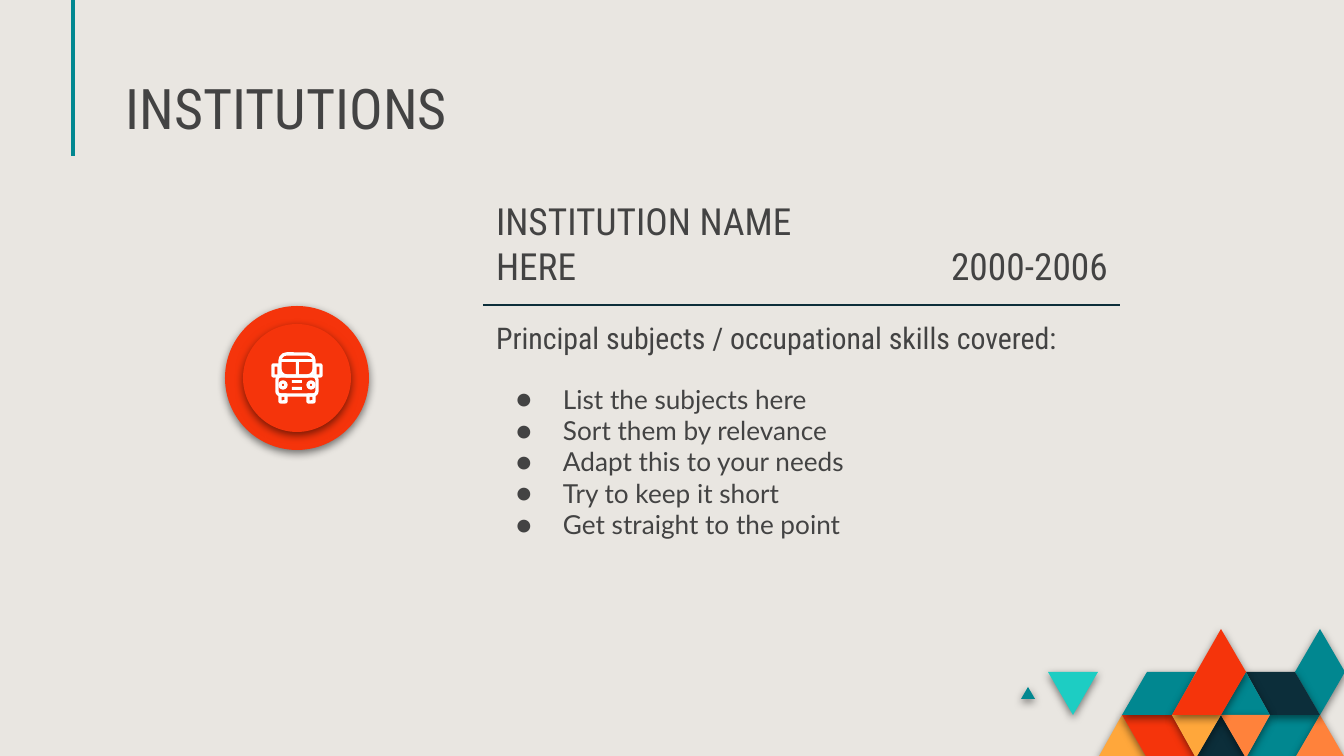
from lxml import etree
from pptx import Presentation
from pptx import util as u
from pptx.dml.color import RGBColor
from pptx.enum import shapes, text
from pptx.oxml import ns

SCALE = 9144000 / 1344  # EMU per px
CREAM = RGBColor(0xE9, 0xE6, 0xE1)
TEAL = RGBColor(0x01, 0x87, 0x90)
AQUA = RGBColor(0x1D, 0xCD, 0xC3)
NAVY = RGBColor(0x0C, 0x2E, 0x3A)
RED = RGBColor(0xF5, 0x34, 0x0B)
ORANGE = RGBColor(0xFF, 0x82, 0x3B)
AMBER = RGBColor(0xFF, 0xA7, 0x3B)
GREY = RGBColor(0x43, 0x43, 0x43)
WHITE = RGBColor(0xFF, 0xFF, 0xFF)
HEADING, BODY = "Roboto Condensed", "Lato"


def px(*lengths):
    return [u.Emu(round(length * SCALE)) for length in lengths]


def paint(shape, color, shadow=True):
    """Fill without an outline, with an optional soft shadow below."""
    shape.fill.solid()
    shape.fill.fore_color.rgb = color
    shape.line.fill.background()
    shape.shadow.inherit = False
    if shadow:
        effects = shape._element.spPr.find(ns.qn("a:effectLst"))
        outer = etree.SubElement(effects, ns.qn("a:outerShdw"), blurRad="57150",
                                 dist="19050", dir="5400000", algn="bl", rotWithShape="0")
        black = etree.SubElement(outer, ns.qn("a:srgbClr"), val="000000")
        etree.SubElement(black, ns.qn("a:alpha"), val="50000")


deck = Presentation()
deck.slide_width, deck.slide_height = px(1344, 756)
page = deck.slides.add_slide(deck.slide_layouts[6])
page.background.fill.solid()
page.background.fill.fore_color.rgb = CREAM

# Corner mosaic: points are (column, row) on a triangular lattice
TILES = [
    (AMBER, [(0, 3), (1, 2), (2, 3)]),
    (RED, [(1, 2), (3, 2), (4, 3), (2, 3)]),
    (TEAL, [(6, 3), (7, 2), (9, 2), (8, 3)]),
    (ORANGE, [(8, 3), (9, 2), (10, 3)]),
    (NAVY, [(4, 3), (5, 2), (6, 3)]),
    (TEAL, [(1, 2), (2, 1), (4, 1), (3, 2)]),
    (AQUA, [(-2, 1), (0, 1), (-1, 2)]),
    (TEAL, [(8, 1), (9, 0), (10, 1), (9, 2)]),
    (NAVY, [(6, 1), (8, 1), (9, 2), (7, 2)]),
    (TEAL, [(5, 2), (6, 1), (7, 2)]),
    (ORANGE, [(5, 2), (7, 2), (6, 3)]),
    (AMBER, [(3, 2), (5, 2), (4, 3)]),
    (RED, [(3, 2), (5, -0), (6, 1), (5, 2)]),
]
TILES[-1] = (RED, [(3, 2), (5, 0), (6, 1), (5, 2)])
outlines = [(color, [(1098 + 247 * column // 10, 629 + 43 * row) for column, row in tile])
            for color, tile in TILES]
outlines.append((TEAL, [(1021, 699), (1028, 687), (1035, 699)]))
for color, points in outlines:
    builder = page.shapes.build_freeform(*points[0], scale=SCALE)
    builder.add_line_segments(points[1:], close=True)
    paint(builder.convert_to_shape(), color)

# Title bar and heading rule
for x1, y1, x2, y2, color, width in [(73, -9, 73, 156, TEAL, 2.25),
                                     (483, 305, 1120, 305, NAVY, 1.5)]:
    rule = page.shapes.add_connector(shapes.MSO_CONNECTOR.STRAIGHT, *px(x1, y1, x2, y2))
    rule.line.color.rgb = color
    rule.line.width = u.Pt(width)
    etree.SubElement(rule._element.spPr, ns.qn("a:effectLst"))

# Badge
for radius in (72, 54):
    disc = page.shapes.add_shape(shapes.MSO_SHAPE.OVAL,
                                 *px(297 - radius, 378 - radius, 2 * radius, 2 * radius))
    paint(disc, RED)

# Bus icon, symmetric about x = 297
ROUND, OVAL = shapes.MSO_SHAPE.ROUNDED_RECTANGLE, shapes.MSO_SHAPE.OVAL
parts = [(ROUND, 280, 354, 34, 22, 0.3), (ROUND, 277, 376, 40, 19, 0.2)]
for kind, left, top, width, height, corner in [
    (ROUND, 273, 365, 6, 11, 0.1),
    (ROUND, 280, 395, 6, 7, 0.1),
    (OVAL, 280, 382, 6, 6, None),
]:
    for x in (left, 594 - left - width):
        parts.append((kind, x, top, width, height, corner))
for kind, left, top, width, height, corner in parts:
    part = page.shapes.add_shape(kind, *px(left, top, width, height))
    part.fill.background()
    part.line.color.rgb = WHITE
    part.line.width = u.Pt(1.75)
    part.shadow.inherit = False
    if corner is not None:
        part.adjustments[0] = corner
for left, top, width, height in [(280, 359, 34, 3), (296, 361, 3, 15),
                                 (292, 380, 10, 3), (292, 387, 10, 3)]:
    bar = page.shapes.add_shape(shapes.MSO_SHAPE.RECTANGLE, *px(left, top, width, height))
    paint(bar, WHITE, shadow=False)

# Texts
SUBJECTS = ["List the subjects here", "Sort them by relevance", "Adapt this to your needs",
            "Try to keep it short", "Get straight to the point"]
BOTTOM, TOP = text.MSO_ANCHOR.BOTTOM, text.MSO_ANCHOR.TOP
LEFT, RIGHT = text.PP_ALIGN.LEFT, text.PP_ALIGN.RIGHT
for place, lines, size, font, anchor, align, spacing in [
    ((113, 69, 559, 84), ["INSTITUTIONS"], 30, HEADING, BOTTOM, LEFT, 0.8),
    ((483, 217, 357, 84), ["INSTITUTION NAME HERE"], 20, HEADING, BOTTOM, LEFT, 1.0),
    ((483, 314, 638, 54), ["Principal subjects / occupational skills covered:"],
     16, HEADING, BOTTOM, LEFT, 1.0),
    ((483, 370, 638, 189), SUBJECTS, 14, BODY, TOP, LEFT, 1.0),
    ((832, 217, 289, 84), ["2000-2006"], 20, HEADING, BOTTOM, RIGHT, 1.0),
]:
    box = page.shapes.add_textbox(*px(*place))
    frame = box.text_frame
    frame.word_wrap = True
    frame.vertical_anchor = anchor
    frame.margin_left, frame.margin_top, frame.margin_right, frame.margin_bottom = px(*[13] * 4)
    for number, line in enumerate(lines):
        para = frame.add_paragraph() if number else frame.paragraphs[0]
        para.alignment = align
        para.line_spacing = spacing
        if lines is SUBJECTS:
            props = para._p.get_or_add_pPr()
            margin, indent = px(67, -47)
            props.set("marL", str(margin))
            props.set("indent", str(indent))
            bullet_color = etree.SubElement(props, ns.qn("a:buClr"))
            etree.SubElement(bullet_color, ns.qn("a:srgbClr"), val=str(GREY))
            etree.SubElement(props, ns.qn("a:buFont"), typeface=BODY)
            etree.SubElement(props, ns.qn("a:buChar"), char="●")
        span = para.add_run()
        span.text = line
        span.font.size = u.Pt(size)
        span.font.name = font
        span.font.color.rgb = GREY

deck.save("out.pptx")
